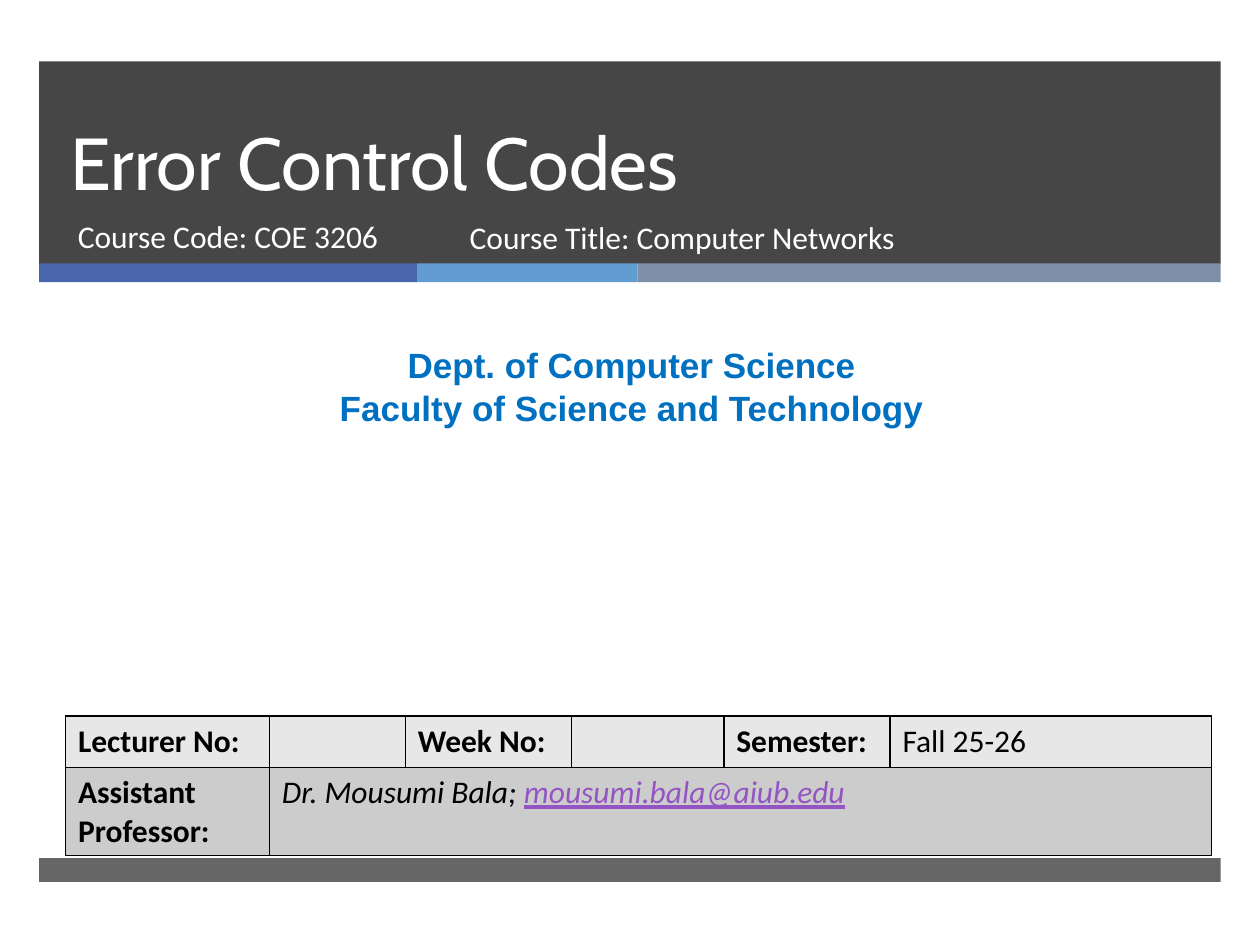
import pptx
import pptx.dml.color
import pptx.enum.shapes
import pptx.enum.text
import pptx.oxml
import pptx.oxml.ns
import pptx.util
from lxml import etree

Cm, Pt = pptx.util.Cm, pptx.util.Pt
ALIGN = pptx.enum.text.PP_ALIGN
ANCHOR = pptx.enum.text.MSO_ANCHOR

COLORS = {
    "dark": "262626", "blue": "4A66AC", "sky": "629DD1", "slate": "7F8FA9",
    "white": "FFFFFF", "black": "000000", "dept": "0070C0", "email": "9454C3",
    "row1": "E7E7E7", "row2": "CCCCCC",
}


def rgb(name):
    return pptx.dml.color.RGBColor.from_string(COLORS[name])


def set_font(font, name, size, color, bold=False, italic=False):
    font.name, font.size = name, Pt(size)
    font.bold, font.italic = bold, italic
    font.color.rgb = rgb(color)


def add_bar(slide, left, top, width, height, color, opacity=100):
    sp = slide.shapes.add_shape(pptx.enum.shapes.MSO_SHAPE.RECTANGLE,
                                Cm(left), Cm(top), Cm(width), Cm(height))
    sp.shadow.inherit = False
    sp.line.fill.background()
    sp.fill.solid()
    sp.fill.fore_color.rgb = rgb(color)
    if opacity < 100:
        clr = sp.fill._xPr.find(".//" + pptx.oxml.ns.qn("a:srgbClr"))
        etree.SubElement(clr, pptx.oxml.ns.qn("a:alpha"), val=str(opacity * 1000))


def add_text(slide, left, top, width, height, lines, font, align=ALIGN.LEFT):
    tf = slide.shapes.add_textbox(Cm(left), Cm(top), Cm(width), Cm(height)).text_frame
    tf.word_wrap = True
    tf.text = "\n".join(lines)
    for p in tf.paragraphs:
        p.alignment = align
        set_font(p.font, *font)


def set_title(slide, text):
    sp = slide.shapes.title
    sp.left, sp.top, sp.width, sp.height = Cm(1.17), Cm(1.24), Cm(21.69), Cm(3.02)
    slide.shapes._spTree.append(sp._element)  # in front of the banner
    tf = sp.text_frame
    tf.text = text
    tf.word_wrap = True
    tf.auto_size = pptx.enum.text.MSO_AUTO_SIZE.NONE
    tf.vertical_anchor = ANCHOR.BOTTOM
    p = tf.paragraphs[0]
    p.alignment, p.line_spacing = ALIGN.LEFT, Pt(46)
    set_font(p.font, "Cabin", 42, "white")


def style_cell(cell, fill):
    tcPr = cell._tc.get_or_add_tcPr()
    for side in ("lnL", "lnR", "lnT", "lnB"):
        tcPr.append(pptx.oxml.parse_xml(
            f'<a:{side} {pptx.oxml.ns.nsdecls("a")} w="12700"><a:solidFill>'
            f'<a:srgbClr val="{COLORS["black"]}"/></a:solidFill></a:{side}>'))
    cell.fill.solid()
    cell.fill.fore_color.rgb = rgb(fill)


def add_info_table(slide):
    widths = [4.11, 2.74, 3.35, 3.07, 3.35, 6.48]
    heights = [1.04, 1.78]
    rows = [["Lecturer No:", "", "Week No:", "", "Semester:", "Fall 25-26"],
            ["Assistant Professor:", "", "", "", "", ""]]
    table = slide.shapes.add_table(2, 6, Cm(1.32), Cm(14.43),
                                   Cm(sum(widths)), Cm(sum(heights))).table
    for col, width in zip(table.columns, widths):
        col.width = Cm(width)
    for row, height in zip(table.rows, heights):
        row.height = Cm(height)
    for r, texts in enumerate(rows):
        for c, text in enumerate(texts):
            cell = table.cell(r, c)
            cell.text = text
            set_font(cell.text_frame.paragraphs[0].font, "Calibri", 18, "black",
                     bold=text.endswith(":"))
            style_cell(cell, f"row{r + 1}")

    # Lecturer name and e-mail
    table.cell(1, 1).merge(table.cell(1, 5))
    p = table.cell(1, 1).text_frame.paragraphs[0]
    for text, color in (("Dr. Mousumi Bala; ", "black"),
                        ("mousumi.bala@aiub.edu", "email")):
        run = p.add_run()
        run.text = text
        set_font(run.font, "Calibri", 18, color, italic=True)
        run.font.underline = color == "email"


def main():
    prs = pptx.Presentation()
    prs.slide_width, prs.slide_height = Cm(25.4), Cm(19.05)
    slide = prs.slides.add_slide(prs.slide_layouts[5])

    # Banner, colour strip and footer
    add_bar(slide, 0.79, 1.24, 23.82, 4.08, "dark", 85)
    left = 0.79
    for width, color in ((7.62, "blue"), (4.44, "sky"), (11.76, "slate")):
        add_bar(slide, left, 5.31, width, 0.38, color)
        left += width
    add_bar(slide, 0.79, 17.3, 23.82, 0.48, "dark", 70)

    # Title and course details
    set_title(slide, "Error Control Codes")
    course = ("Calibri", 18, "white")
    add_text(slide, 1.32, 4.26, 7.75, 1.35, ["Course Code: COE 3206"], course)
    add_text(slide, 0.2, 6.81, 25.07, 1.96,
             ["Dept. of Computer Science", "Faculty of Science and Technology"],
             ("Arial", 20, "dept", True), ALIGN.CENTER)
    add_text(slide, 9.22, 4.27, 11.56, 1.35, ["Course Title: Computer Networks"], course)

    # Lecture information
    add_info_table(slide)
    prs.save("out.pptx")


if __name__ == "__main__":
    main()
